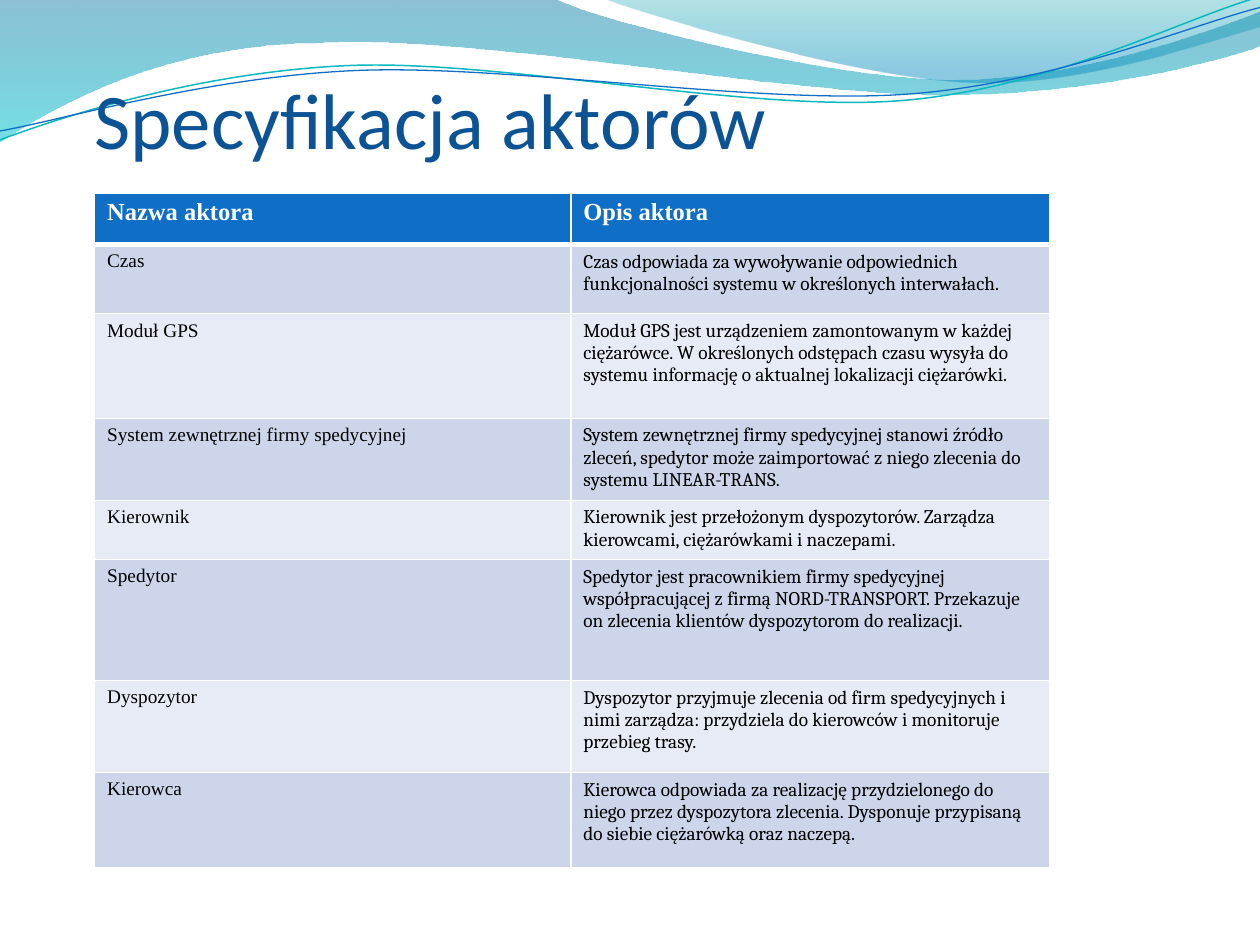
from math import cos, radians, sin

from lxml.etree import SubElement
from pptx import Presentation
from pptx.dml.color import RGBColor
from pptx.enum.text import MSO_ANCHOR
from pptx.oxml.ns import qn
from pptx.util import Inches, Pt

COLORS = {
    "title": "0B5394", "header": "0F6FC6", "white": "FFFFFF", "text": "000000",
    "odd": "CCD5EA", "even": "E7EBF5", "teal": "0AB8BF", "blue": "0F6FC6",
    "deep": "0074A1", "aqua": "00C6CF", "sea": "00A1A9", "sky": "008BBF",
}
COLS, ROWS = 10, 7.5  # slide grid
CELL = Inches(1)

# Outlines: a pair of numbers is a corner, six numbers are a Bézier curve.
# Gradient stops: position, colour, opacity in percent.
FILLED_WAVES = [
    ([(0, -0.01), (4.4, -0.01), (4.76, 0.17, 6.64, 0.63, 7.58, 0.63),
      (8.53, 0.63, 9.58, 0.26, 10, 0.09), (10.01, 0.36),
      (9.83, 0.44, 8.7, 0.76, 7.46, 0.75), (6.22, 0.75, 3.82, 0.28, 2.57, 0.34),
      (1.29, 0.35, 0.46, 0.83, -0.01, 1.13), (0, -0.01)],
     [(0, "deep", 45), (1, "aqua", 55)]),
    ([(4.79, -0.01), (5.09, 0.11, 6.82, 0.62, 7.69, 0.65),
      (8.56, 0.69, 9.61, 0.32, 10, 0.21), (10, 0), (4.79, -0.01)],
     [(0, "sea", 30), (0.8, "sky", 45)]),
]
WAVE_LINES = [
    ([(0, 1.11), (0.48, 0.93, 1.58, 0.57, 2.77, 0.52),
      (3.95, 0.47, 5.93, 0.89, 7.13, 0.8), (8.33, 0.71, 9.38, 0.15, 9.98, -0.02)],
     (4.99, 0.58), "teal", 0.85),
    ([(0, 1.04), (0.47, 0.96, 1.64, 0.61, 2.83, 0.56),
      (4.03, 0.51, 5.97, 0.83, 7.17, 0.75), (8.36, 0.67, 9.41, 0.21, 10, 0.06)],
     (5, 0.59), "blue", 0.75),
]
TILT = -2.7  # degrees, for the wave lines

COL_WIDTHS = [3.78, 3.8]
ROW_HEIGHTS = [0.41, 0.55, 0.83, 0.64, 0.47, 0.96, 0.73, 0.76]
ACTORS = [
    ("Nazwa aktora", "Opis aktora"),
    ("Czas", "Czas odpowiada za wywoływanie odpowiednich funkcjonalności systemu "
     "w określonych interwałach."),
    ("Moduł GPS", "Moduł GPS jest urządzeniem zamontowanym w każdej ciężarówce. "
     "W określonych odstępach czasu wysyła do systemu informację o aktualnej "
     "lokalizacji ciężarówki."),
    ("System zewnętrznej firmy spedycyjnej",
     "System zewnętrznej firmy spedycyjnej stanowi źródło zleceń, spedytor może "
     "zaimportować z niego zlecenia do systemu LINEAR-TRANS."),
    ("Kierownik", "Kierownik jest przełożonym dyspozytorów. Zarządza\n"
     "kierowcami, ciężarówkami i naczepami."),
    ("Spedytor", "Spedytor jest pracownikiem firmy spedycyjnej\n"
     "współpracującej z firmą NORD-TRANSPORT. Przekazuje on zlecenia klientów "
     "dyspozytorom do realizacji."),
    ("Dyspozytor", "Dyspozytor przyjmuje zlecenia od firm spedycyjnych i\n"
     "nimi zarządza: przydziela do kierowców i monitoruje\nprzebieg trasy."),
    ("Kierowca", "Kierowca odpowiada za realizację przydzielonego do niego przez "
     "dyspozytora zlecenia. Dysponuje przypisaną do siebie ciężarówką oraz naczepą."),
]


def rgb(name):
    return RGBColor.from_string(COLORS[name])


def grid(*lengths):
    return [round(n * CELL) for n in lengths]


def turn(outline, center, degrees):
    """Rotate every point of an outline clockwise about a center."""
    c, s = cos(radians(degrees)), sin(radians(degrees))
    cx, cy = center
    return [tuple(n for x, y in zip(part[::2], part[1::2])
                  for n in (cx + (x - cx) * c - (y - cy) * s,
                            cy + (x - cx) * s + (y - cy) * c))
            for part in outline]


def add_outline(s, left, top, outline, close):
    """Draw a freeform, joining each run of three curve points into one Bézier."""
    points = [grid(left + x, top + y) for part in outline
              for x, y in zip(part[::2], part[1::2])]
    fb = s.shapes.build_freeform(*points[0], scale=1.0)
    fb.add_line_segments(points[1:], close=close)
    sp = fb.convert_to_shape()
    sp.shadow.inherit = False
    segments = iter(list(sp._element.iter(qn("a:lnTo"))))
    for part in outline[1:]:
        first = next(segments)
        if len(part) == 6:
            first.tag = qn("a:cubicBezTo")
            for _ in range(2):
                extra = next(segments)
                first.append(extra[0])
                extra.getparent().remove(extra)
    return sp


def add_waves(s, box):
    left, top = box[:2]
    for outline, stops in FILLED_WAVES:
        sp = add_outline(s, left, top, outline, True)
        sp.line.fill.background()
        sp.fill.gradient()
        sp.fill.gradient_angle = 270
        for stop, (position, color, _) in zip(sp.fill.gradient_stops, stops):
            stop.position = position
            stop.color.rgb = rgb(color)
        clrs = sp._element.spPr.iter(qn("a:srgbClr"))
        for clr, (_, _, opacity) in zip(clrs, stops):
            SubElement(clr, qn("a:alpha"), val=str(opacity * 1000))
    for outline, center, color, width in WAVE_LINES:
        sp = add_outline(s, left, top, turn(outline, center, -TILT), False)
        sp.rotation = TILT
        sp.fill.background()
        sp.line.color.rgb = rgb(color)
        sp.line.width = Pt(width)


def write(tf, text, font, size, color, bold=False):
    for i, line in enumerate(text.split("\n")):
        p = tf.add_paragraph() if i else tf.paragraphs[0]
        r = p.add_run()
        r.text = line
        r.font.name, r.font.size, r.font.bold = font, Pt(size), bold
        r.font.color.rgb = rgb(color)


def add_title(s, box):
    tf = s.shapes.add_textbox(*grid(*box)).text_frame
    tf.word_wrap = True
    tf.vertical_anchor = MSO_ANCHOR.BOTTOM
    tf.margin_left = tf.margin_right = tf.margin_bottom = 0
    write(tf, "Specyfikacja aktorów", "Calibri", 45, "title")


def set_borders(cell, widths):
    tc_pr = cell._tc.get_or_add_tcPr()
    for side, width in widths.items():
        ln = SubElement(tc_pr, qn(f"a:ln{side}"), w=str(Pt(width)))
        fill = SubElement(ln, qn("a:solidFill"))
        SubElement(fill, qn("a:srgbClr"), val=COLORS["white"])


def add_actor_table(s, box):
    table = s.shapes.add_table(len(ACTORS), len(COL_WIDTHS), *grid(*box)).table
    for column, width in zip(table.columns, grid(*COL_WIDTHS)):
        column.width = width
    for row, height in zip(table.rows, grid(*ROW_HEIGHTS)):
        row.height = height
    for i, actor in enumerate(ACTORS):
        for j, text in enumerate(actor):
            cell = table.cell(i, j)
            set_borders(cell, {"L": 1, "R": 1, "T": 3 if i == 1 else 1,
                               "B": 3 if i == 0 else 1})
            cell.fill.solid()
            if i == 0:
                cell.fill.fore_color.rgb = rgb("header")
                write(cell.text_frame, text, "Times New Roman", 14, "white", True)
            else:
                cell.fill.fore_color.rgb = rgb("odd" if i % 2 else "even")
                font = "Cambria" if j else "Times New Roman"
                write(cell.text_frame, text, font, 11, "text")


def main():
    prs = Presentation()
    prs.slide_width, prs.slide_height = grid(COLS, ROWS)
    s = prs.slides.add_slide(prs.slide_layouts[6])
    margin = 0.75
    add_waves(s, (0, 0, COLS, 1.13))
    add_title(s, (margin, 0.51, COLS - 2 * margin, 0.8))
    add_actor_table(s, (margin, 1.53, sum(COL_WIDTHS), sum(ROW_HEIGHTS)))
    prs.save("out.pptx")


if __name__ == "__main__":
    main()
